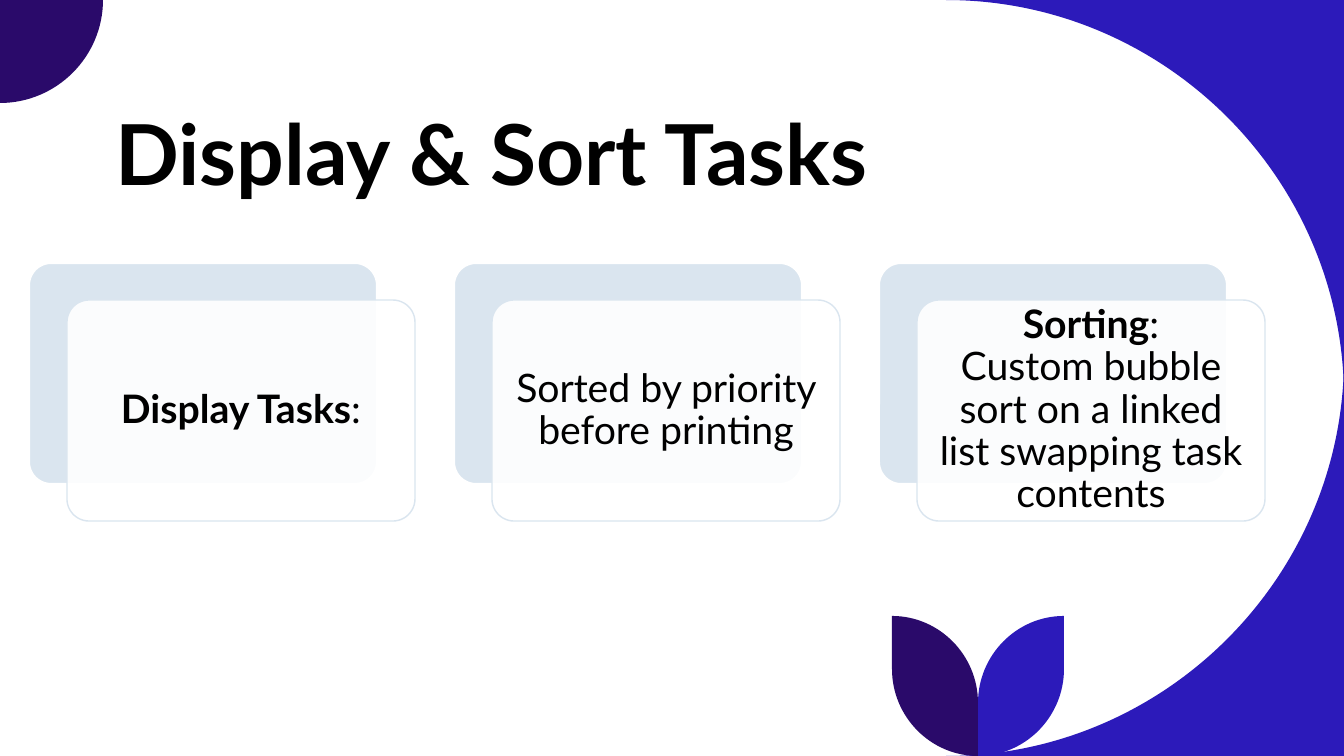
from lxml import etree
from pptx import Presentation
from pptx.dml.color import RGBColor
from pptx.enum.shapes import MSO_SHAPE
from pptx.enum.text import MSO_ANCHOR, MSO_AUTO_SIZE, PP_ALIGN
from pptx.oxml.ns import qn
from pptx.util import Pt

ROUNDED = MSO_SHAPE.ROUNDED_RECTANGLE
LEFT, CENTER = PP_ALIGN.LEFT, PP_ALIGN.CENTER
MIDDLE, BOTTOM = MSO_ANCHOR.MIDDLE, MSO_ANCHOR.BOTTOM
NO_FIT = MSO_AUTO_SIZE.NONE

TITLE = "Display & Sort Tasks"
# Each card is a list of lines, each line a list of (text, bold) runs.
CARDS = [
    [[("Display Tasks", True), (":", False)]],
    [[("Sorted by priority before printing", False)]],
    [[("Sorting", True), (":", False)],
     [("Custom bubble sort on a linked list swapping task contents", False)]],
]

FONT = "Lato"
COLORS = {"text": "000000", "white": "FFFFFF", "pale": "DAE5EF",
          "blue": "2C1ABA", "violet": "2A0A6A"}

PX = 914400 / 100.8
WIDTH, HEIGHT = 1344, 756
TITLE_BOX = (105, 14, 1078, 193)
CARD_LEFT, CARD_TOP, CARD_STEP = 29, 263, 425
CARD_WIDTH, CARD_HEIGHT = 348, 221
FRONT_SHIFT = (38, 37)
TEXT_INSET, TEXT_MARGIN = 7, 12
CURVE_RADIUS, CORNER_RADIUS = 398, 103
LEAF_X, LEAF_TOP, LEAF_WIDTH, LEAF_STRAIGHT = 978, 616, 86, 53
ARC_PULL = 0.55


def emu(*lengths):
    return [round(length * PX) for length in lengths]


def color(name):
    return RGBColor.from_string(COLORS[name])


def quarter(start, corner, end):
    """Bezier points of a quarter ellipse whose end tangents meet at corner."""
    def pulled(point):
        return tuple(p + (c - p) * ARC_PULL for p, c in zip(point, corner))
    return [pulled(start), pulled(end), end]


def add_outline(slide, fill, start, segments):
    """Draw a closed outline; a segment has one point (line) or three (curve)."""
    builder = slide.shapes.build_freeform(*emu(*start), scale=1.0)
    builder.add_line_segments([emu(*point) for segment in segments for point in segment])
    shape = builder.convert_to_shape()
    shape.shadow.inherit = False
    shape.fill.solid()
    shape.fill.fore_color.rgb = color(fill)
    shape.line.fill.background()

    lines = iter(list(shape.element.iter(qn("a:lnTo"))))
    for segment in segments:
        first, *others = [next(lines) for _ in segment]
        if others:
            first.tag = qn("a:cubicBezTo")
        for line in others:
            first.append(line[0])
            line.getparent().remove(line)


def add_decorations(slide):
    for edge, inward in ((0, 1), (HEIGHT, -1)):
        corner = (WIDTH, edge)
        start = (WIDTH - CURVE_RADIUS, edge)
        end = (WIDTH, edge + inward * CURVE_RADIUS)
        add_outline(slide, "blue", start, [quarter(start, corner, end), [corner], [start]])

    start, end = (CORNER_RADIUS, 0), (0, CORNER_RADIUS)
    curve = quarter(start, (CORNER_RADIUS, CORNER_RADIUS), end)
    add_outline(slide, "violet", start, [curve, [(0, 0)], [start]])

    for side, fill in ((1, "blue"), (-1, "violet")):
        outer = LEAF_X + side * LEAF_WIDTH
        tip, base = (outer, LEAF_TOP), (LEAF_X, HEIGHT)
        shoulder = (outer, LEAF_TOP + LEAF_STRAIGHT)
        stem = (LEAF_X, HEIGHT - LEAF_STRAIGHT)
        add_outline(slide, fill, tip, [
            [shoulder], quarter(shoulder, (outer, HEIGHT), base),
            [stem], quarter(stem, (LEAF_X, LEAF_TOP), tip)])


def style_paragraph(paragraph, size, spacing, alignment):
    paragraph.font.name = FONT
    paragraph.font.size = Pt(size)
    paragraph.font.color.rgb = color("text")
    paragraph.line_spacing = spacing
    paragraph.alignment = alignment


def format_title(title):
    title.left, title.top, title.width, title.height = emu(*TITLE_BOX)
    frame = title.text_frame
    frame.text = TITLE
    frame.auto_size = NO_FIT
    frame.vertical_anchor = BOTTOM
    style_paragraph(frame.paragraphs[0], 60, 0.8, LEFT)
    frame.paragraphs[0].font.bold = True


def add_panel(slide, left, top, fill, line, line_width):
    panel = slide.shapes.add_shape(ROUNDED, *emu(left, top, CARD_WIDTH, CARD_HEIGHT))
    panel.adjustments[0] = 0.1
    panel.shadow.inherit = False
    panel.fill.solid()
    panel.fill.fore_color.rgb = color(fill)
    panel.line.color.rgb = color(line)
    panel.line.width = Pt(line_width)
    return panel


def add_card(slide, left, lines):
    add_panel(slide, left, CARD_TOP, "pale", "white", 1.5)
    front_left, front_top = left + FRONT_SHIFT[0], CARD_TOP + FRONT_SHIFT[1]
    front = add_panel(slide, front_left, front_top, "white", "pale", 1)
    fill_color = front.element.spPr.find(qn("a:solidFill"))[0]
    etree.SubElement(fill_color, qn("a:alpha")).set("val", "90000")

    box = slide.shapes.add_textbox(*emu(
        front_left + TEXT_INSET, front_top + TEXT_INSET,
        CARD_WIDTH - 2 * TEXT_INSET, CARD_HEIGHT - 2 * TEXT_INSET))
    frame = box.text_frame
    frame.word_wrap = True
    frame.vertical_anchor = MIDDLE
    margin, = emu(TEXT_MARGIN)
    frame.margin_left = frame.margin_right = margin
    frame.margin_top = frame.margin_bottom = margin
    paragraph = frame.paragraphs[0]
    style_paragraph(paragraph, 28, 0.9, CENTER)
    for number, line in enumerate(lines):
        if number:
            paragraph.add_line_break()
        for text, bold in line:
            run = paragraph.add_run()
            run.text = text
            run.font.bold = bold


def main():
    presentation = Presentation()
    presentation.slide_width, presentation.slide_height = emu(WIDTH, HEIGHT)
    slide = presentation.slides.add_slide(presentation.slide_layouts[5])
    add_decorations(slide)
    title = slide.shapes.title
    format_title(title)
    title.element.getparent().append(title.element)
    for number, lines in enumerate(CARDS):
        add_card(slide, CARD_LEFT + number * CARD_STEP, lines)
    presentation.save("out.pptx")


if __name__ == "__main__":
    main()
